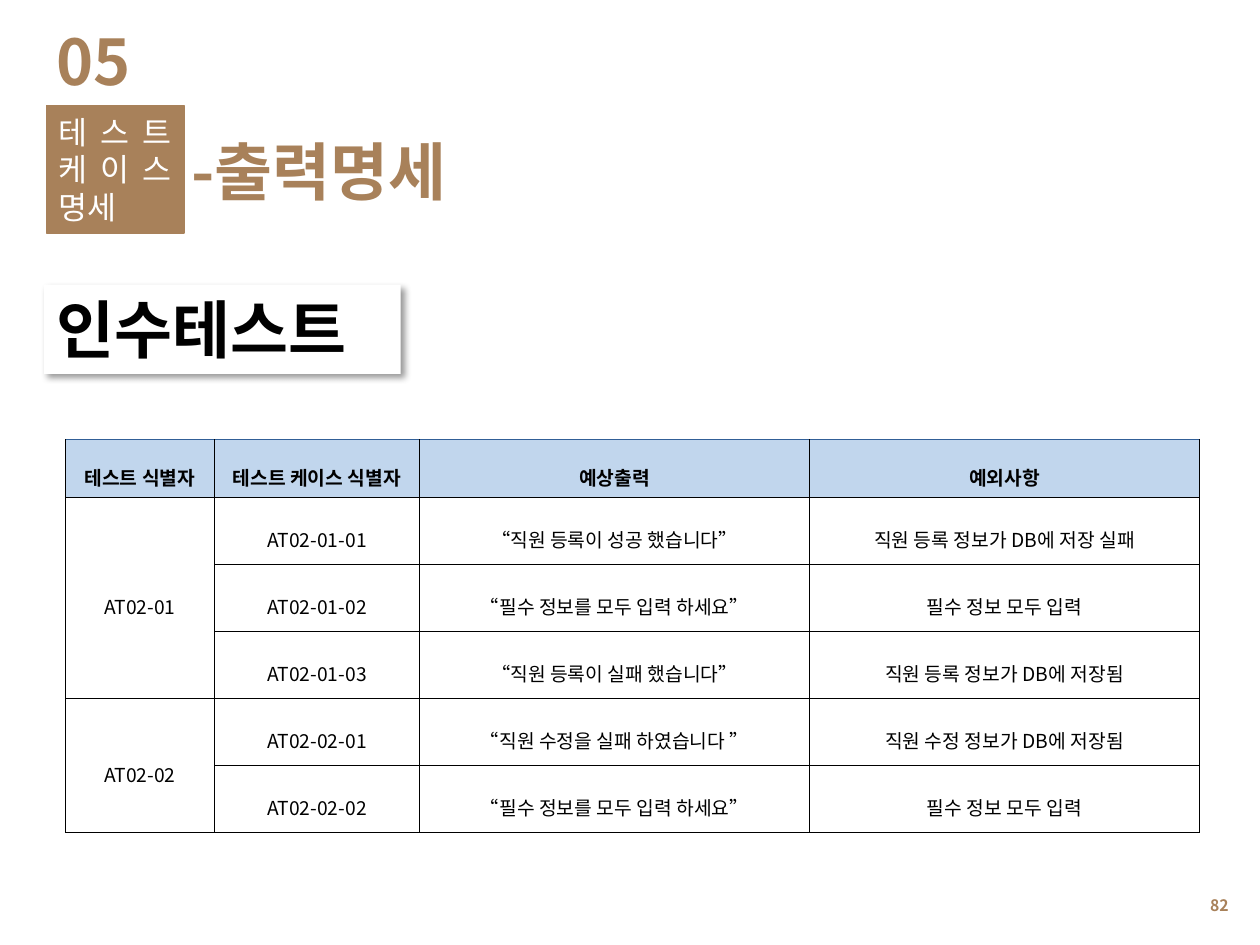
from dataclasses import dataclass

from lxml.etree import SubElement
from pptx import Presentation
from pptx.dml.color import RGBColor
from pptx.enum.shapes import MSO_SHAPE
from pptx.enum.text import MSO_ANCHOR, MSO_AUTO_SIZE, PP_ALIGN
from pptx.oxml.ns import qn
from pptx.util import Cm, Pt


@dataclass(frozen=True)
class Theme:
    font: str = "Noto Sans CJK KR"
    accent: str = "A8815A"
    paper: str = "FFFFFF"
    ink: str = "000000"
    header_fill: str = "C1D6ED"
    header_edge: str = "315F97"
    heading: int = 36
    label: int = 18
    body: int = 11
    footer: int = 9


THEME = Theme()

COLUMN_WIDTHS = (3.0, 4.14, 7.86, 7.86)
HEADER_HEIGHT, ROW_HEIGHT = 1.17, 1.35
HEADERS = ("테스트 식별자", "테스트 케이스 식별자", "예상출력", "예외사항")
TEST_CASES = {
    "AT02-01": [
        ("AT02-01-01", "“직원 등록이 성공 했습니다”", "직원 등록 정보가 DB에 저장 실패"),
        ("AT02-01-02", "“필수 정보를 모두 입력 하세요”", "필수 정보 모두 입력"),
        ("AT02-01-03", "“직원 등록이 실패 했습니다”", "직원 등록 정보가 DB에 저장됨"),
    ],
    "AT02-02": [
        ("AT02-02-01", "“직원 수정을 실패 하였습니다 ”", "직원 수정 정보가 DB에 저장됨"),
        ("AT02-02-02", "“필수 정보를 모두 입력 하세요”", "필수 정보 모두 입력"),
    ],
}


def apply_format(target, values):
    for name, value in values.items():
        setattr(target, name, value)


def write(frame, text, size, color, bold=False, **paragraph_format):
    paragraph = frame.paragraphs[0]
    apply_format(paragraph, paragraph_format)
    run = paragraph.add_run()
    run.text = text
    apply_format(run.font, {"name": THEME.font, "size": Pt(size), "bold": bold})
    run.font.color.rgb = RGBColor.from_string(color)
    SubElement(run.font._element, qn("a:ea"), typeface=THEME.font)


def place(shape, box):
    apply_format(shape, dict(zip(("left", "top", "width", "height"), map(Cm, box))))


def set_frame(frame, anchor=MSO_ANCHOR.TOP):
    apply_format(frame, {"word_wrap": True, "auto_size": MSO_AUTO_SIZE.NONE,
                         "vertical_anchor": anchor})
    return frame


def add_label(slide, box, anchor=MSO_ANCHOR.TOP):
    return set_frame(slide.shapes.add_textbox(*map(Cm, box)).text_frame, anchor)


def add_panel(slide, box, fill, anchor=MSO_ANCHOR.TOP):
    panel = slide.shapes.add_shape(MSO_SHAPE.RECTANGLE, *map(Cm, box))
    panel.shadow.inherit = False
    panel.fill.solid()
    panel.fill.fore_color.rgb = RGBColor.from_string(fill)
    panel.line.fill.background()
    set_frame(panel.text_frame, anchor)
    return panel


def add_drop_shadow(shape):
    effects = shape._element.spPr.find(qn("a:effectLst"))
    shadow = SubElement(effects, qn("a:outerShdw"), blurRad=str(Pt(4)), dist=str(Pt(3)),
                        dir=str(45 * 60000), algn="tl", rotWithShape="0")
    color = SubElement(shadow, qn("a:srgbClr"), val=THEME.ink)
    SubElement(color, qn("a:alpha"), val="40000")


def set_borders(cell, top):
    """Draw hairlines on all four sides; they must precede the fill."""
    properties = cell._tc.get_or_add_tcPr()
    sides = {"lnL": THEME.ink, "lnR": THEME.ink, "lnT": top, "lnB": THEME.ink}
    for side, color in sides.items():
        edge = SubElement(properties, qn(f"a:{side}"), w=str(Pt(0.25)))
        SubElement(SubElement(edge, qn("a:solidFill")), qn("a:srgbClr"), val=color)


def fill_cell(cell, text, header):
    set_borders(cell, THEME.header_edge if header else THEME.ink)
    if header:
        cell.fill.solid()
        cell.fill.fore_color.rgb = RGBColor.from_string(THEME.header_fill)
    else:
        cell.fill.background()
    apply_format(cell, {"vertical_anchor": MSO_ANCHOR.MIDDLE,
                        "margin_left": Cm(0.18), "margin_right": Cm(0.18),
                        "margin_top": Cm(0.05), "margin_bottom": Cm(0.05)})
    write(cell.text_frame, text, THEME.body, THEME.ink, header,
          alignment=PP_ALIGN.CENTER, line_spacing=1.6)


def add_case_table(slide, left, top):
    rows = [HEADERS]
    for test_id, cases in TEST_CASES.items():
        rows += [(test_id if i == 0 else "", *case) for i, case in enumerate(cases)]
    heights = [HEADER_HEIGHT] + [ROW_HEIGHT] * (len(rows) - 1)
    table = slide.shapes.add_table(
        len(rows), len(HEADERS), Cm(left), Cm(top),
        Cm(sum(COLUMN_WIDTHS)), Cm(sum(heights))).table
    apply_format(table, {"first_row": False, "horz_banding": False})
    for column, width in zip(table.columns, COLUMN_WIDTHS):
        column.width = Cm(width)
    for r, (values, height) in enumerate(zip(rows, heights)):
        table.rows[r].height = Cm(height)
        for c, text in enumerate(values):
            fill_cell(table.cell(r, c), text, header=r == 0)
    first = 1
    for cases in TEST_CASES.values():
        last = first + len(cases) - 1
        table.cell(first, 0).merge(table.cell(last, 0))
        first = last + 1


def main():
    deck = Presentation()
    apply_format(deck, {"slide_width": Cm(25.4), "slide_height": Cm(19.05)})
    slide = deck.slides.add_slide(deck.slide_layouts[5])

    title = slide.shapes.title
    place(title, (3.61, 2.54, 20.4, 1.8))
    write(set_frame(title.text_frame), "-출력명세", THEME.heading, THEME.accent, True,
          alignment=PP_ALIGN.LEFT)

    chapter = add_panel(slide, (0.94, 2.13, 2.77, 2.57), THEME.accent, MSO_ANCHOR.MIDDLE)
    chapter.line.color.rgb = RGBColor.from_string(THEME.accent)
    chapter.line.width = Pt(0.75)
    write(chapter.text_frame, "테스트 케이스명세", THEME.label, THEME.paper,
          alignment=PP_ALIGN.JUSTIFY)

    write(add_label(slide, (0.89, 0.33, 3.2, 1.8)), "05", THEME.heading, THEME.accent, True)

    section = add_panel(slide, (0.89, 5.74, 7.19, 1.8), THEME.paper)
    add_drop_shadow(section)
    write(section.text_frame, "인수테스트", THEME.heading, THEME.ink, True,
          alignment=PP_ALIGN.LEFT)

    add_case_table(slide, 1.32, 8.86)

    page_number = add_label(slide, (19.1, 17.73, 5.92, 1.02), MSO_ANCHOR.MIDDLE)
    write(page_number, "82", THEME.footer, THEME.accent, True, alignment=PP_ALIGN.RIGHT)

    deck.save("out.pptx")


if __name__ == "__main__":
    main()
